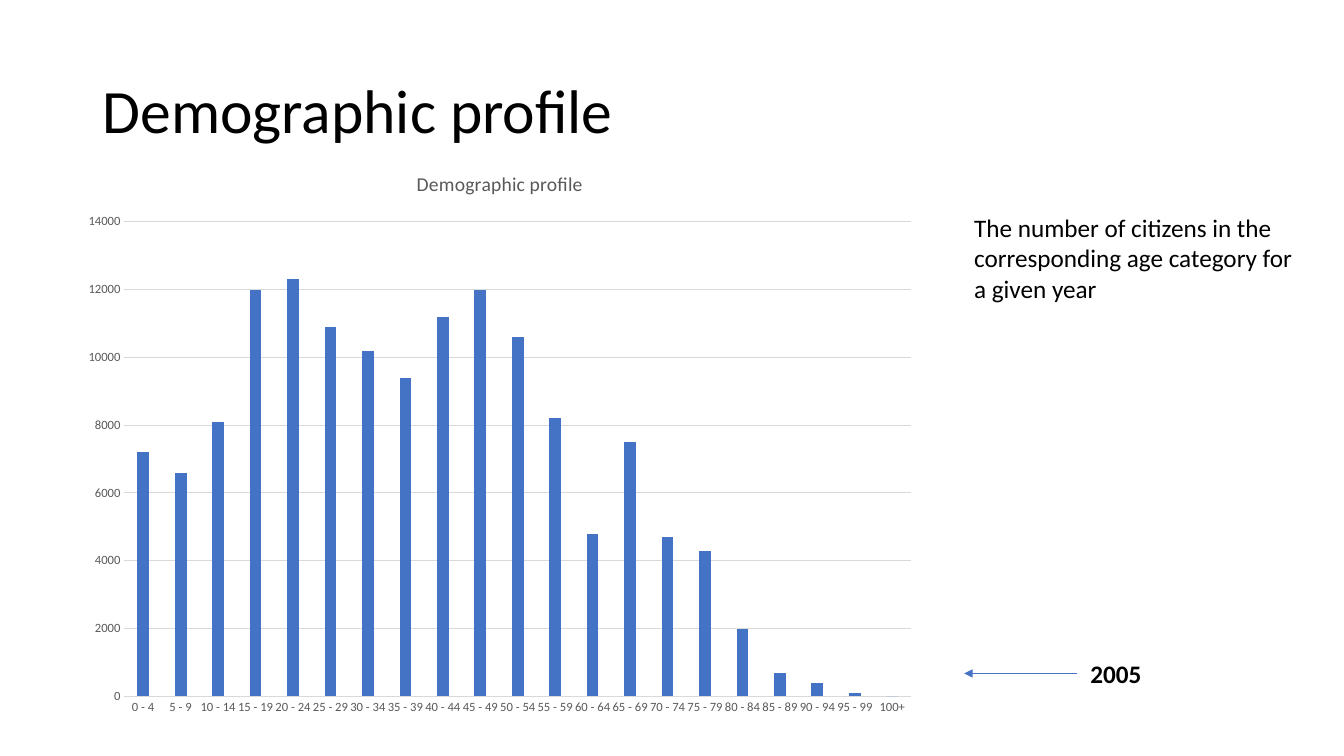
"""Build the demographic profile slide: a column chart with a caption and a year mark."""
from lxml.etree import SubElement
from pptx import Presentation
from pptx.chart.data import CategoryChartData
from pptx.dml.color import RGBColor
from pptx.enum.chart import XL_CHART_TYPE as ChartType, XL_TICK_MARK as Tick
from pptx.enum.shapes import MSO_CONNECTOR as Connector
from pptx.enum.text import MSO_ANCHOR as Anchor, MSO_AUTO_SIZE as AutoSize, PP_ALIGN as Align
from pptx.oxml.ns import qn
from pptx.util import Cm, Pt

BLACK = RGBColor(0x00, 0x00, 0x00)
GREY = RGBColor(0x59, 0x59, 0x59)
RULE = RGBColor(0xD9, 0xD9, 0xD9)
BLUE = RGBColor(0x44, 0x72, 0xC4)

AGES = [f"{a} - {a + 4}" for a in range(0, 100, 5)] + ["100+"]
CITIZENS = [7200, 6600, 8100, 12000, 12300, 10900, 10200, 9400, 11200, 12000, 10600,
            8200, 4800, 7500, 4700, 4300, 2000, 700, 400, 100, 0]


class Deck:
    font = "Calibri"

    def __init__(self, width, height):
        self.prs = Presentation()
        self.prs.slide_width, self.prs.slide_height = Cm(width), Cm(height)
        self.s = self.prs.slides.add_slide(self.prs.slide_layouts[5])

    def style(self, font, size, color=BLACK, bold=False):
        font.name, font.size, font.bold = self.font, Pt(size), bold
        font.color.rgb = color

    def title(self, text, x, y, w, h):
        sp = self.s.shapes.title
        sp.left, sp.top, sp.width, sp.height = Cm(x), Cm(y), Cm(w), Cm(h)
        tf = sp.text_frame
        tf.text = text
        tf.vertical_anchor, tf.auto_size = Anchor.MIDDLE, AutoSize.NONE
        p = tf.paragraphs[0]
        p.alignment, p.line_spacing = Align.LEFT, 0.9
        self.style(p.runs[0].font, 44)

    def text(self, text, x, y, w, h, bold=False):
        tf = self.s.shapes.add_textbox(Cm(x), Cm(y), Cm(w), Cm(h)).text_frame
        tf.text = text
        tf.word_wrap, tf.auto_size = True, AutoSize.SHAPE_TO_FIT_TEXT
        self.style(tf.paragraphs[0].runs[0].font, 18, bold=bold)

    def arrow(self, x1, y1, x2, y2):
        sp = self.s.shapes.add_connector(Connector.STRAIGHT, Cm(x1), Cm(y1), Cm(x2), Cm(y2))
        sp.line.color.rgb, sp.line.width = BLUE, Pt(0.5)
        SubElement(sp.line._get_or_add_ln(), qn("a:tailEnd"), type="triangle")
        SubElement(sp._element.spPr, qn("a:effectLst"))

    def axis(self, axis):
        axis.major_tick_mark = axis.minor_tick_mark = Tick.NONE
        self.style(axis.tick_labels.font, 9, GREY)
        axis._element.find(qn("c:txPr")).find(qn("a:bodyPr")).set("rot", "-60000000")

    def rule(self, line):
        line.color.rgb, line.width = RULE, Pt(0.75)

    def columns(self, title, cats, vals, x, y, w, h):
        data = CategoryChartData()
        data.categories = cats
        data.add_series("Series 1", vals)
        chart = self.s.shapes.add_chart(
            ChartType.COLUMN_CLUSTERED, Cm(x), Cm(y), Cm(w), Cm(h), data).chart
        self.style(chart.font, 10)
        chart.has_legend = False
        tf = chart.chart_title.text_frame
        tf.text = title
        self.style(tf.paragraphs[0].runs[0].font, 14, GREY)
        chart.chart_title.include_in_layout = False
        for axis in (chart.category_axis, chart.value_axis):
            self.axis(axis)
        self.rule(chart.category_axis.format.line)
        self.rule(chart.value_axis.major_gridlines.format.line)
        chart.value_axis.format.line.fill.background()
        plot = chart.plots[0]
        plot.gap_width, plot.overlap, plot.vary_by_categories = 219, -27, False
        fill = plot.series[0].format.fill
        fill.solid()
        fill.fore_color.rgb = BLUE


deck = Deck(33.87, 19.05)
deck.title("Demographic profile", 2.33, 1.01, 29.21, 3.68)
deck.columns("Demographic profile", AGES, CITIZENS, 1.8, 3.78, 21.59, 14.53)
deck.text("The number of citizens in the corresponding age category for a given year",
          24.3, 5.23, 8.6, 2.56)
deck.arrow(27.15, 16.97, 24.3, 16.97)
deck.text("2005", 27.23, 16.46, 3.7, 1.03, bold=True)
deck.prs.save("out.pptx")
